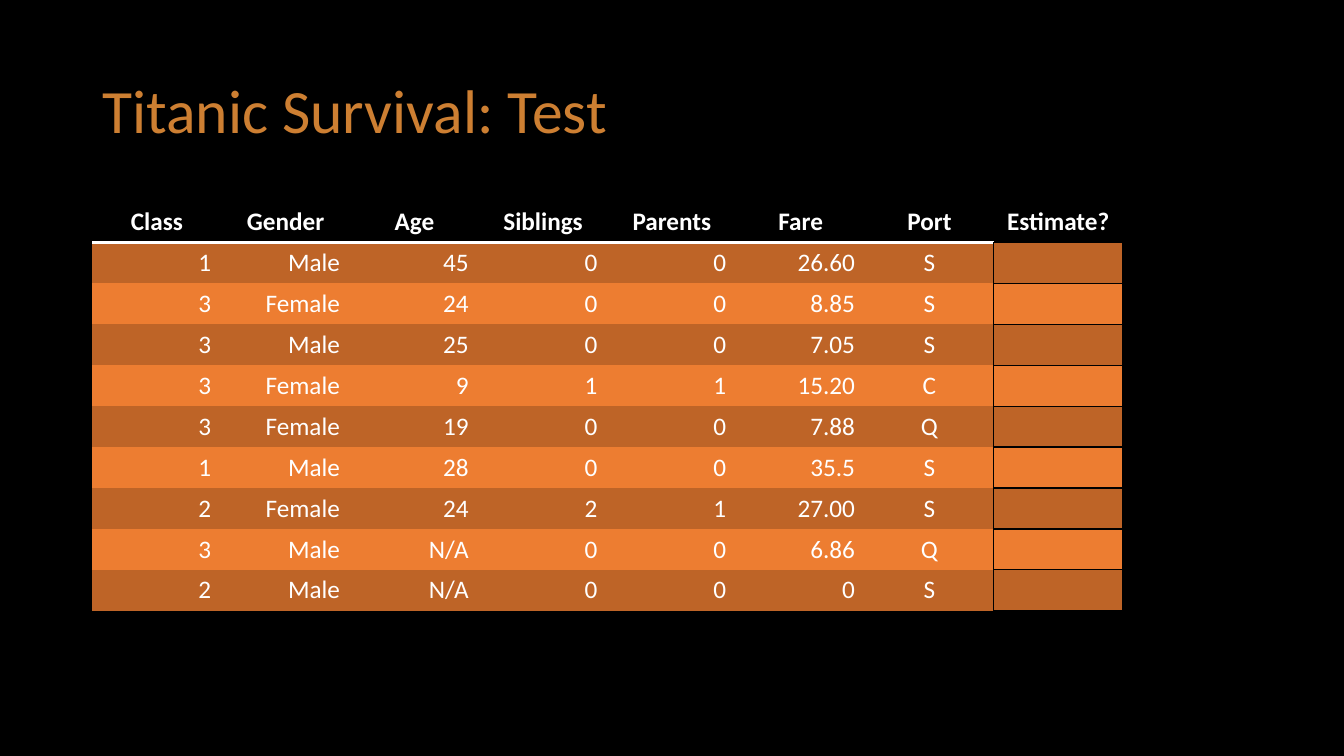
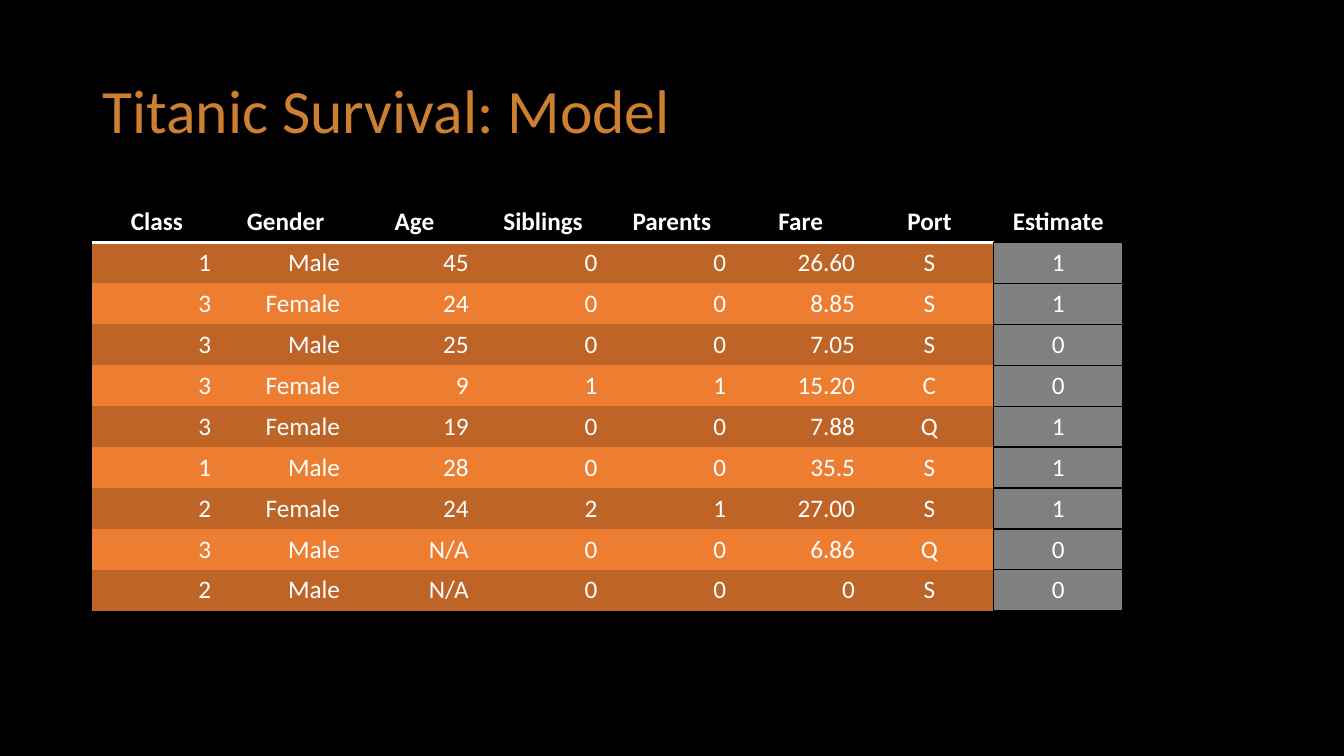
import pptx
import pptx.dml.color
import pptx.enum.text
import pptx.oxml
import pptx.oxml.ns
import pptx.util

Cm, Pt = pptx.util.Cm, pptx.util.Pt
ALIGN = pptx.enum.text.PP_ALIGN
ANCHOR = pptx.enum.text.MSO_ANCHOR

# Shared look
FONT = "Calibri"
BLACK, WHITE, BRONZE, GREY = "000000", "FFFFFF", "CD7F32", "808080"
BANDS = ("BE6427", "ED7D31")
PLAIN_TABLE_STYLE = "{2D5ABB26-0587-4C30-8999-92F81FD0307C}"
TITLE_BOX = (2.33, 1.01, 29.21, 3.68)
TABLE_BOX = (2.33, 5.08, 25.96, 10.31)

# Passenger data
FIELDS = ("Class", "Gender", "Age", "Siblings", "Parents", "Fare", "Port")
PASSENGERS = (
    ("1", "Male", "45", "0", "0", "26.60", "S"),
    ("3", "Female", "24", "0", "0", "8.85", "S"),
    ("3", "Male", "25", "0", "0", "7.05", "S"),
    ("3", "Female", "9", "1", "1", "15.20", "C"),
    ("3", "Female", "19", "0", "0", "7.88", "Q"),
    ("1", "Male", "28", "0", "0", "35.5", "S"),
    ("2", "Female", "24", "2", "1", "27.00", "S"),
    ("3", "Male", "N/A", "0", "0", "6.86", "Q"),
    ("2", "Male", "N/A", "0", "0", "0", "S"),
)
PORT, ESTIMATE = len(FIELDS) - 1, len(FIELDS)


def set_colour(colour_format, hex_colour):
    colour_format.rgb = pptx.dml.color.RGBColor.from_string(hex_colour)


def write(frame, text, size, colour, align, bold=False):
    paragraph = frame.paragraphs[0]
    paragraph.text = text
    paragraph.alignment = align
    for run in paragraph.runs:
        run.font.name, run.font.size, run.font.bold = FONT, Pt(size), bold
        set_colour(run.font.color, colour)
    return paragraph


def add_borders(cell, sides, colour, width):
    """Sides must follow the schema order L, R, T, B."""
    properties = cell._tc.get_or_add_tcPr()
    for side in sides:
        properties.append(pptx.oxml.parse_xml(
            f'<a:ln{side} {pptx.oxml.ns.nsdecls("a")} w="{Pt(width)}"><a:solidFill>'
            f'<a:srgbClr val="{colour}"/></a:solidFill></a:ln{side}>'))


def fill_cell(cell, colour):
    cell.fill.solid()
    set_colour(cell.fill.fore_color, colour)


def add_title(slide, box, text):
    frame = slide.shapes.add_textbox(*map(Cm, box)).text_frame
    frame.word_wrap = True
    frame.vertical_anchor = ANCHOR.MIDDLE
    write(frame, text, 44, BRONZE, ALIGN.LEFT).line_spacing = 0.9


def add_passenger_table(slide, box, estimate_label, estimates, estimate_fills):
    rows = [FIELDS + (estimate_label,)]
    rows += [person + (guess,) for person, guess in zip(PASSENGERS, estimates)]
    left, top, width, height = map(Cm, box)
    table_frame = slide.shapes.add_table(len(rows), len(rows[0]), left, top, width, height)
    for style_id in table_frame.element.iter(pptx.oxml.ns.qn("a:tableStyleId")):
        style_id.text = PLAIN_TABLE_STYLE
    table = table_frame.table
    table.horz_banding = False
    for column in table.columns:
        column.width = width // len(rows[0])
    for row in table.rows:
        row.height = height // len(rows)

    # Header row
    for col, label in enumerate(rows[0]):
        cell = table.cell(0, col)
        write(cell.text_frame, label, 18, WHITE, ALIGN.CENTER, bold=True)
        if col == ESTIMATE:
            add_borders(cell, "B", BLACK, 1)
        else:
            add_borders(cell, "B", WHITE, 2)
        fill_cell(cell, BLACK)

    # Banded rows, with the estimates boxed off
    for index, values in enumerate(rows[1:]):
        for col, value in enumerate(values):
            cell = table.cell(index + 1, col)
            cell.vertical_anchor = ANCHOR.MIDDLE
            align = ALIGN.CENTER if col >= PORT else ALIGN.RIGHT
            write(cell.text_frame, value, 18, WHITE, align)
            add_borders(cell, {PORT: "R", ESTIMATE: "LRTB"}.get(col, ""), BLACK, 1)
            fills = estimate_fills if col == ESTIMATE else BANDS
            fill_cell(cell, fills[index % len(fills)])


def add_survival_slide(deck, title, estimate_label, estimates, estimate_fills):
    slide = deck.slides.add_slide(deck.slide_layouts[6])
    slide.background.fill.solid()
    set_colour(slide.background.fill.fore_color, BLACK)
    add_title(slide, TITLE_BOX, title)
    add_passenger_table(slide, TABLE_BOX, estimate_label, estimates, estimate_fills)


def main():
    deck = pptx.Presentation()
    deck.slide_width, deck.slide_height = Cm(33.87), Cm(19.05)
    add_survival_slide(deck, "Titanic Survival: Test", "Estimate?",
                       [""] * len(PASSENGERS), BANDS)
    add_survival_slide(deck, "Titanic Survival: Model", "Estimate",
                       "110011100", (GREY,))
    deck.save("out.pptx")


if __name__ == "__main__":
    main()
